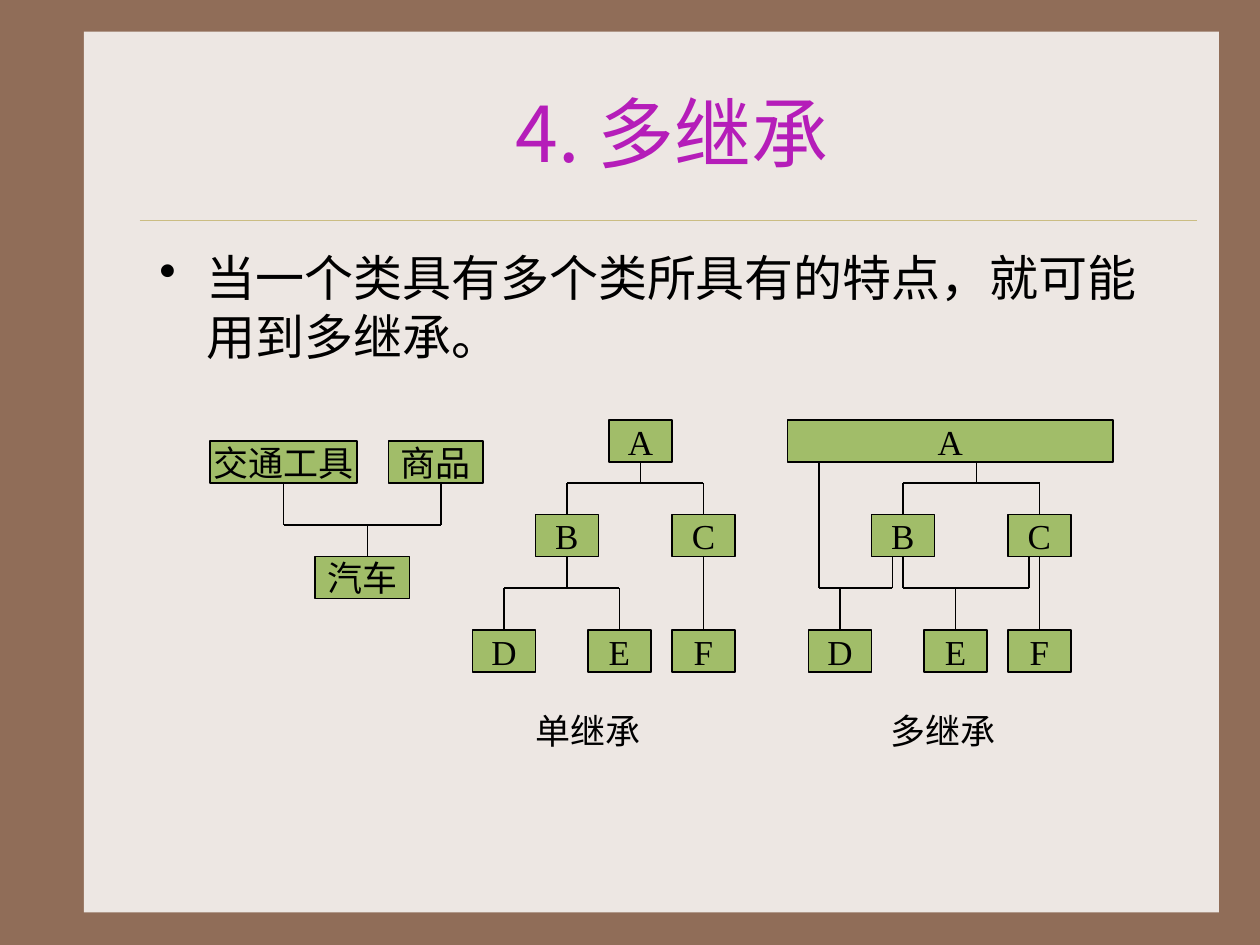
from dataclasses import dataclass

import pptx
import pptx.dml.color
import pptx.enum.shapes
import pptx.enum.text
import pptx.oxml.ns
import pptx.util
from lxml import etree
from pptx.util import Cm

Color = pptx.dml.color.RGBColor
Align = pptx.enum.text.PP_ALIGN
Anchor = pptx.enum.text.MSO_ANCHOR
AutoSize = pptx.enum.text.MSO_AUTO_SIZE
RECT = pptx.enum.shapes.MSO_SHAPE.RECTANGLE
STRAIGHT = pptx.enum.shapes.MSO_CONNECTOR.STRAIGHT
qn = pptx.oxml.ns.qn


@dataclass(frozen=True)
class Theme:
    frame: str = "906D58"
    panel: str = "EDE7E3"
    rule: str = "CBBD83"
    title: str = "B51DB9"
    box: str = "A1BD69"
    ink: str = "000000"
    title_font: str = "Noto Sans CJK SC"
    body_font: str = "Times New Roman"
    title_size: float = 44
    body_size: float = 28
    label_size: float = 20
    line_width: float = 0.75
    rule_width: float = 0.25


@dataclass(frozen=True)
class Box:
    text: str
    x: float
    y: float
    w: float = 6
    h: float = 4


@dataclass(frozen=True)
class Link:
    x1: float
    y1: float
    x2: float
    y2: float


@dataclass(frozen=True)
class Diagram:
    boxes: list[Box]
    links: list[Link]


@dataclass(frozen=True)
class Caption:
    text: str
    x: float


THEME = Theme()


def grid(n: float) -> pptx.util.Length:
    return Cm(n * 2.54 / 12)


def area(x: float, y: float, w: float, h: float) -> tuple:
    return grid(x), grid(y), grid(w), grid(h)


def rgb(value: str) -> Color:
    return Color.from_string(value)


def write(tf, text: str, size: float, color: str = THEME.ink,
          font: str = THEME.body_font, align=None):
    p = tf.paragraphs[0]
    p.text = text
    p.alignment = align
    p.font.size = pptx.util.Pt(size)
    p.font.name = font
    p.font.color.rgb = rgb(color)
    return p


def add_rect(shapes, x: float, y: float, w: float, h: float, fill: str):
    sp = shapes.add_shape(RECT, *area(x, y, w, h))
    sp.shadow.inherit = False
    sp.fill.solid()
    sp.fill.fore_color.rgb = rgb(fill)
    return sp


def add_box(shapes, box: Box):
    sp = add_rect(shapes, box.x, box.y, box.w, box.h, THEME.box)
    sp.line.color.rgb = rgb(THEME.ink)
    sp.line.width = pptx.util.Pt(THEME.line_width)
    tf = sp.text_frame
    tf.word_wrap = False
    tf.vertical_anchor = Anchor.MIDDLE
    write(tf, box.text, THEME.label_size, align=Align.CENTER)
    return sp


def add_link(shapes, link: Link, color: str = THEME.ink, width: float = THEME.line_width):
    c = shapes.add_connector(STRAIGHT, grid(link.x1), grid(link.y1), grid(link.x2), grid(link.y2))
    c.line.color.rgb = rgb(color)
    c.line.width = pptx.util.Pt(width)
    etree.SubElement(c.element.spPr, qn("a:effectLst"))
    return c


def add_diagram(s, diagram: Diagram) -> None:
    shapes = s.shapes.add_group_shape().shapes
    sites = {}
    for box in diagram.boxes:
        sp = add_box(shapes, box)
        middle = box.x + box.w / 2
        sites[middle, box.y] = (sp, 0)
        sites[middle, box.y + box.h] = (sp, 2)
    for link in diagram.links:
        c = add_link(shapes, link)
        if (link.x1, link.y1) in sites:
            c.begin_connect(*sites[link.x1, link.y1])
        if (link.x2, link.y2) in sites:
            c.end_connect(*sites[link.x2, link.y2])


def tree(dx: float, root: Box, d_drop: float, extra: list[Link]) -> Diagram:
    nodes = [("B", 51, 49), ("C", 64, 49), ("D", 45, 60), ("E", 56, 60), ("F", 64, 60)]
    lines = [(61, 44, 61, 46), (54, 46, 67, 46), (54, 46, 54, 49), (67, 46, 67, 49),
             (54, 53, 54, 56), (d_drop, 56, d_drop, 60), (59, 56, 59, 60), (67, 53, 67, 60)]
    return Diagram(
        [root] + [Box(text, x + dx, y) for text, x, y in nodes],
        [Link(x1 + dx, y1, x2 + dx, y2) for x1, y1, x2, y2 in lines] + extra,
    )


def add_bullet_text(s, text: str) -> None:
    tf = s.shapes.add_textbox(*area(14, 23, 100, 16)).text_frame
    tf.word_wrap = True
    p = write(tf, text, THEME.body_size)
    p.space_before = pptx.util.Pt(7)
    pPr = p._p.get_or_add_pPr()
    pPr.set("marL", str(grid(4.5)))
    pPr.set("indent", str(-grid(4.5)))
    bullet = etree.Element(qn("a:buChar"), char="•")
    pPr.find(qn("a:spcBef")).addnext(bullet)


def add_caption(s, caption: Caption) -> None:
    tf = s.shapes.add_textbox(*area(caption.x, 67, 12.4, 5.3)).text_frame
    tf.word_wrap = False
    tf.auto_size = AutoSize.SHAPE_TO_FIT_TEXT
    write(tf, caption.text, THEME.label_size)


DIAGRAMS = [
    Diagram(
        [Box("交通工具", 20, 42, 14), Box("商品", 37, 42, 9), Box("汽车", 30, 53, 9)],
        [Link(27, 46, 27, 50), Link(27, 50, 42, 50), Link(42, 50, 42, 46), Link(35, 50, 35, 53)],
    ),
    tree(0, Box("A", 58, 40), 48, [Link(48, 56, 59, 56)]),
    tree(32, Box("A", 75, 40, 31), 48, [
        Link(86, 56, 98, 56), Link(98, 56, 98, 53), Link(85, 53, 85, 56),
        Link(85, 56, 78, 56), Link(78, 56, 78, 44),
    ]),
]
CAPTIONS = [Caption("单继承", 49.8), Caption("多继承", 83.6)]


def main() -> None:
    prs = pptx.Presentation()
    prs.slide_width, prs.slide_height = Cm(25.4), Cm(19.05)
    s = prs.slides.add_slide(prs.slide_layouts[5])
    s.background.fill.solid()
    s.background.fill.fore_color.rgb = rgb(THEME.frame)

    panel = add_rect(s.shapes, 8, 3, 108.1, 83.9, THEME.panel)
    panel.line.fill.background()
    add_link(s.shapes, Link(13.3, 21, 114, 21), THEME.rule, THEME.rule_width)

    title = s.shapes.title
    title.left, title.top, title.width, title.height = area(14, 5, 100, 15)
    title.text_frame.vertical_anchor = Anchor.MIDDLE
    write(title.text_frame, "4. 多继承", THEME.title_size, THEME.title,
          THEME.title_font, Align.CENTER)
    title.element.getparent().append(title.element)

    add_bullet_text(s, "当一个类具有多个类所具有的特点，就可能用到多继承。")
    for diagram in DIAGRAMS:
        add_diagram(s, diagram)
    for caption in CAPTIONS:
        add_caption(s, caption)
    prs.save("out.pptx")


if __name__ == "__main__":
    main()
